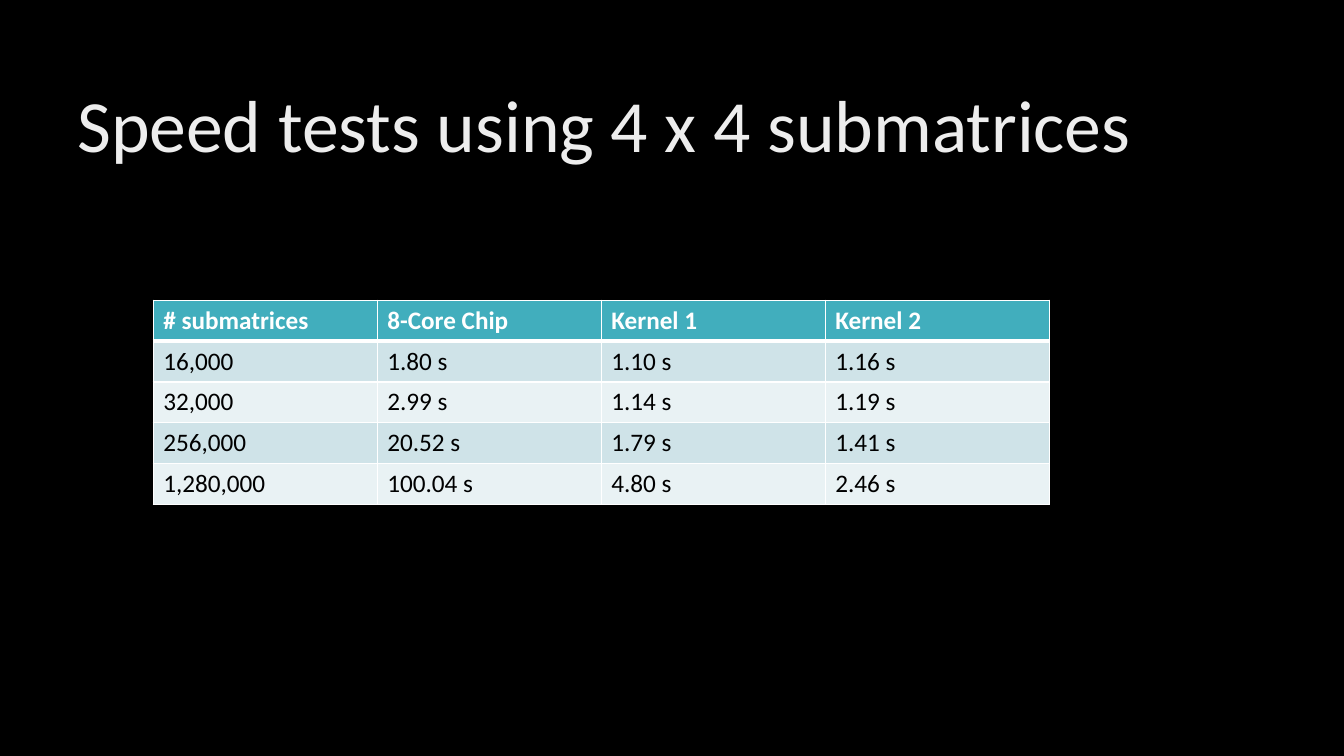
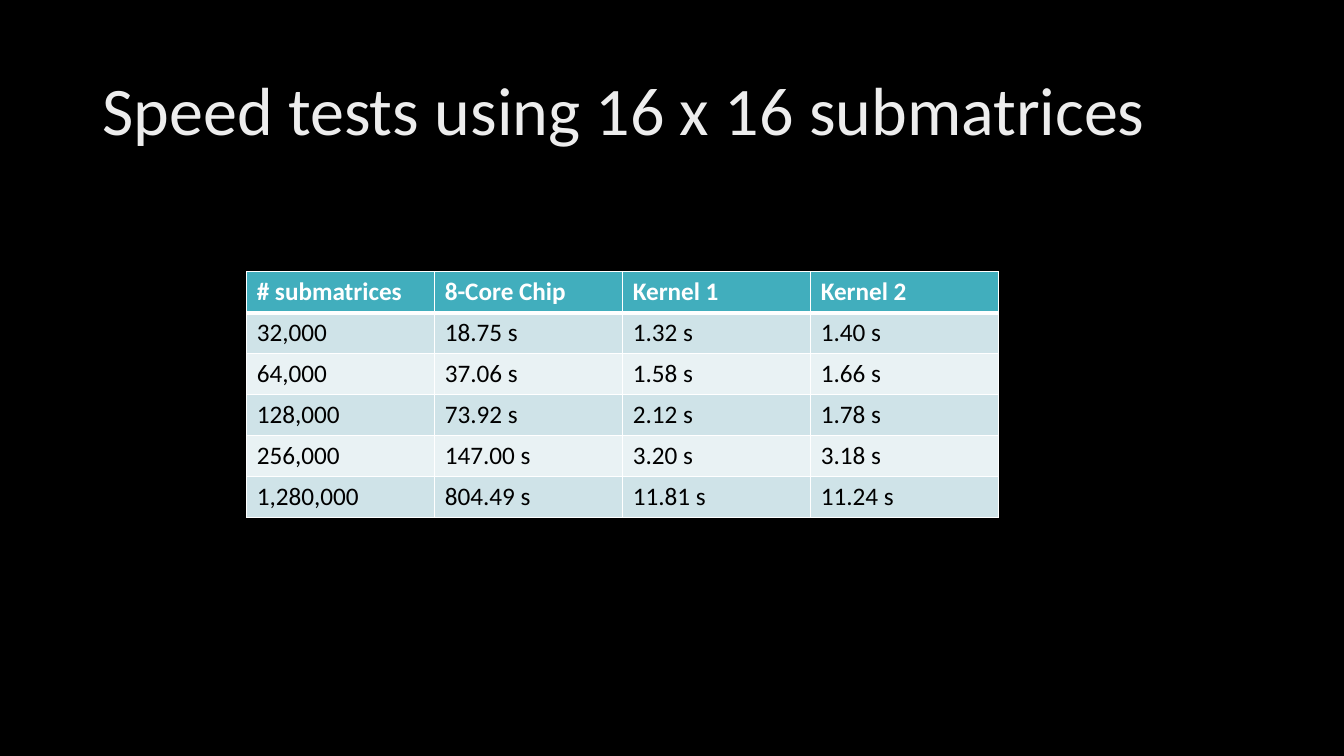
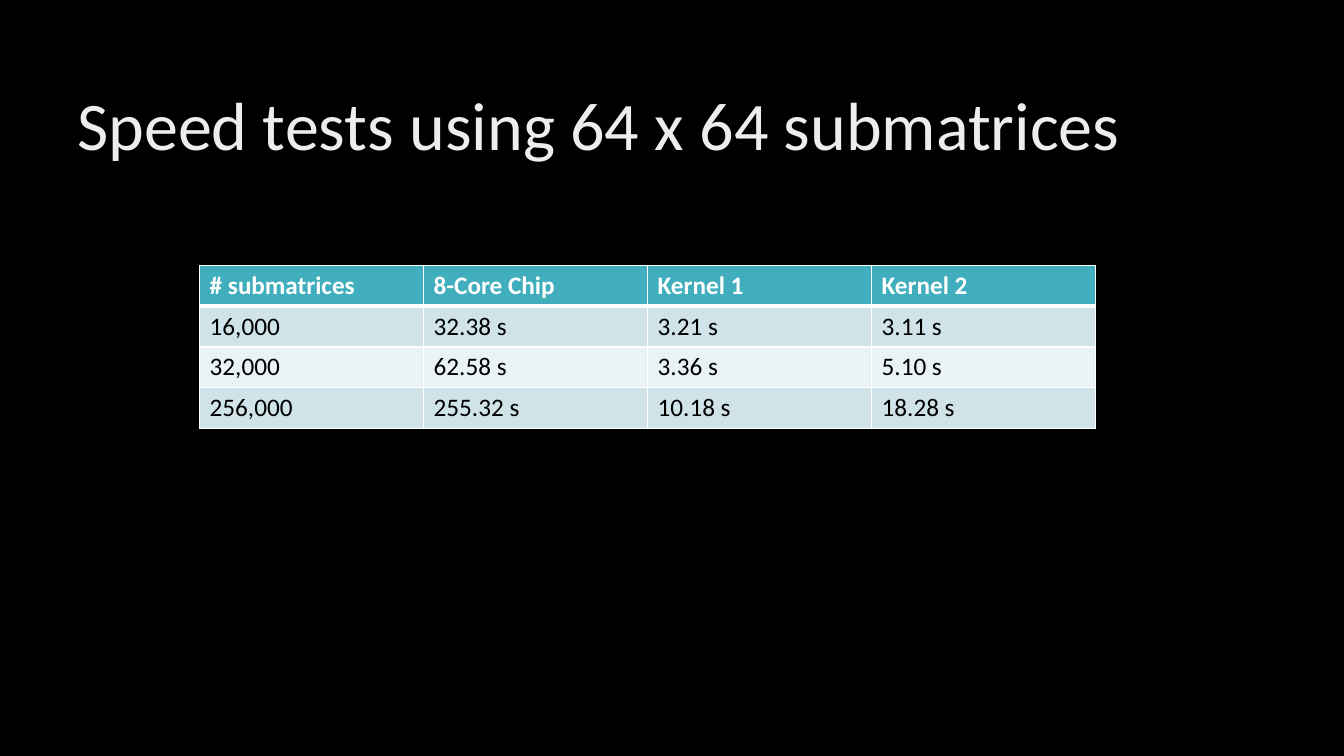
"""Build three slides of speed tests, with tables of times for each submatrix size."""
from dataclasses import dataclass

from lxml.etree import SubElement
from pptx import Presentation
from pptx.dml.color import RGBColor as RGB
from pptx.enum.text import MSO_ANCHOR as Anchor, MSO_AUTO_SIZE as AutoSize, PP_ALIGN as Align
from pptx.oxml.ns import qn
from pptx.util import Pt


@dataclass(frozen=True)
class Theme:
    font: str = "Calibri"
    background: str = "000000"
    title: str = "EDEDED"
    header_fill: str = "41AEBD"
    header_text: str = "FFFFFF"
    bands: tuple = ("CFE3E8", "E9F2F4")
    body_text: str = "000000"
    border: str = "FFFFFF"
    cell_size: float = 18
    thin: float = 1
    thick: float = 3


THEME = Theme()
SLIDE_SIZE = (960, 540)
TITLE_SIZE = (828, 104.4)
ROW_HEIGHT = 29.2
HEADER = ("# submatrices", "8-Core Chip", "Kernel 1", "Kernel 2")
ALL_COLUMNS = [(0, 4)]
TIMES_THEN_COUNTS = [(1, 4), (0, 1)]

TESTS = [
    {
        "title": "Speed tests using 4 x 4 submatrices",
        "title_at": (48, 39.6), "title_size": 52.6,
        "table_at": (109.5, 214.4), "column": 160, "tables": ALL_COLUMNS,
        "times": [
            ("16,000", "1.80 s", "1.10 s", "1.16 s"),
            ("32,000", "2.99 s", "1.14 s", "1.19 s"),
            ("256,000", "20.52 s", "1.79 s", "1.41 s"),
            ("1,280,000", "100.04 s", "4.80 s", "2.46 s"),
        ],
    },
    {
        "title": "Speed tests using 16 x 16 submatrices",
        "title_at": (66, 28.8), "title_size": 48.6,
        "table_at": (176.2, 194.2), "column": 134.3, "tables": TIMES_THEN_COUNTS,
        "times": [
            ("32,000", "18.75 s", "1.32 s", "1.40 s"),
            ("64,000", "37.06 s", "1.58 s", "1.66 s"),
            ("128,000", "73.92 s", "2.12 s", "1.78 s"),
            ("256,000", "147.00 s", "3.20 s", "3.18 s"),
            ("1,280,000", "804.49 s", "11.81 s", "11.24 s"),
        ],
    },
    {
        "title": "Speed tests using 64 x 64 submatrices",
        "title_at": (48, 39.6), "title_size": 48.6,
        "table_at": (142.6, 189.4), "column": 160, "tables": ALL_COLUMNS,
        "times": [
            ("16,000", "32.38 s", "3.21 s", "3.11 s"),
            ("32,000", "62.58 s", "3.36 s", "5.10 s"),
            ("256,000", "255.32 s", "10.18 s", "18.28 s"),
        ],
    },
]


def style_font(paragraph, size, color, bold=False):
    paragraph.font.name = THEME.font
    paragraph.font.size = Pt(size)
    paragraph.font.bold = bold
    paragraph.font.color.rgb = RGB.from_string(color)


def add_borders(cell, row):
    widths = {
        "L": THEME.thin,
        "R": THEME.thin,
        "T": THEME.thick if row == 1 else THEME.thin,
        "B": THEME.thick if row == 0 else THEME.thin,
    }
    properties = cell._tc.get_or_add_tcPr()
    for side, width in widths.items():
        line = SubElement(properties, qn(f"a:ln{side}"), w=str(Pt(width)))
        SubElement(SubElement(line, qn("a:solidFill")), qn("a:srgbClr"), val=THEME.border)


def add_title(slide, test):
    title = slide.shapes.title
    title.left, title.top = map(Pt, test["title_at"])
    title.width, title.height = map(Pt, TITLE_SIZE)
    frame = title.text_frame
    frame.text = test["title"]
    frame.word_wrap = True
    frame.auto_size = AutoSize.NONE
    frame.vertical_anchor = Anchor.MIDDLE
    heading = frame.paragraphs[0]
    heading.alignment = Align.LEFT
    heading.line_spacing = 0.9
    style_font(heading, test["title_size"], THEME.title)


def add_times(slide, test, first, end):
    rows = [row[first:end] for row in (HEADER, *test["times"])]
    left, top = test["table_at"]
    width = test["column"]
    box = (left + first * width, top, (end - first) * width, ROW_HEIGHT * len(rows))
    table = slide.shapes.add_table(len(rows), end - first, *map(Pt, box)).table
    for column in table.columns:
        column.width = Pt(width)
    for r, row in enumerate(rows):
        table.rows[r].height = Pt(ROW_HEIGHT)
        is_header = r == 0
        fill = THEME.header_fill if is_header else THEME.bands[(r - 1) % 2]
        color = THEME.header_text if is_header else THEME.body_text
        for c, value in enumerate(row):
            cell = table.cell(r, c)
            cell.text = value
            add_borders(cell, r)
            cell.fill.solid()
            cell.fill.fore_color.rgb = RGB.from_string(fill)
            style_font(cell.text_frame.paragraphs[0], THEME.cell_size, color, is_header)


def main():
    deck = Presentation()
    deck.slide_width, deck.slide_height = map(Pt, SLIDE_SIZE)
    backdrop = deck.slide_master.background.fill
    backdrop.solid()
    backdrop.fore_color.rgb = RGB.from_string(THEME.background)
    title_only = deck.slide_layouts.get_by_name("Title Only")
    for test in TESTS:
        slide = deck.slides.add_slide(title_only)
        add_title(slide, test)
        for first, end in test["tables"]:
            add_times(slide, test, first, end)
    deck.save("out.pptx")


if __name__ == "__main__":
    main()
